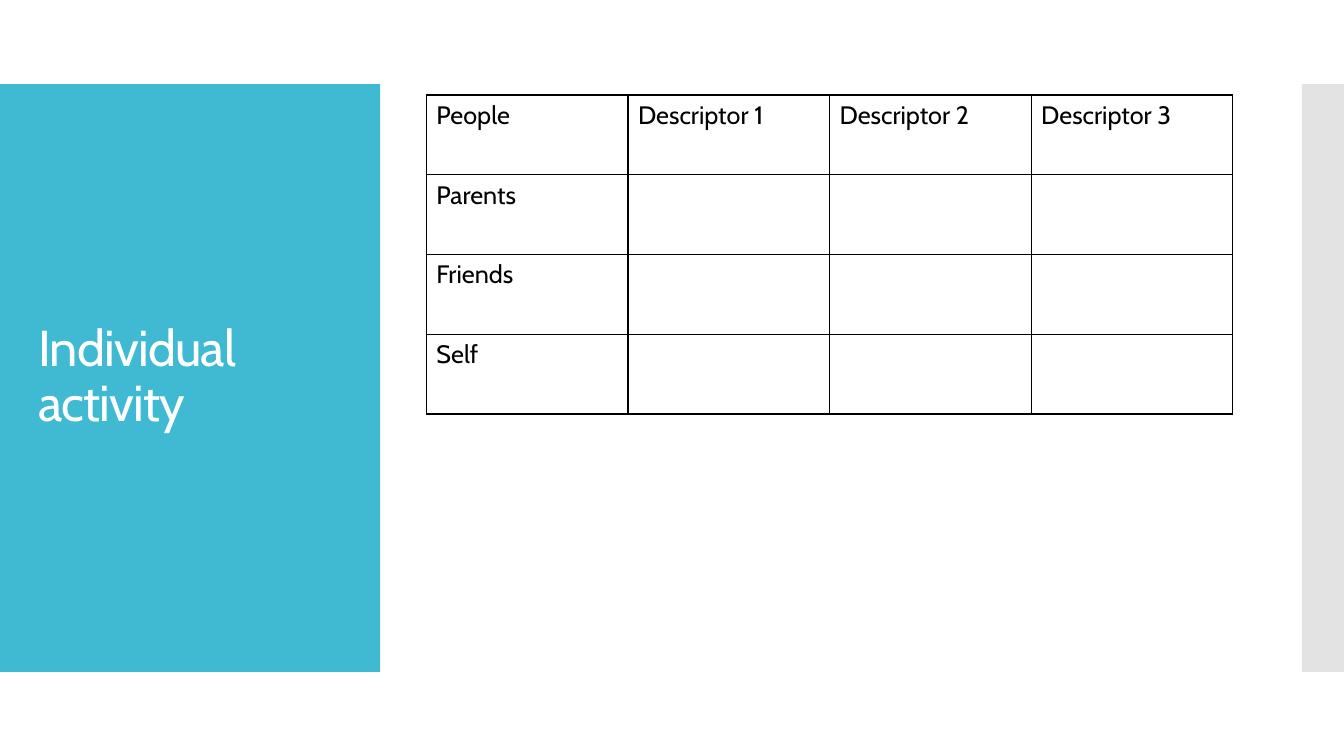
"""Build the "Individual activity" slide: a title panel beside a table of descriptors."""
import dataclasses

import lxml.etree
import pptx
import pptx.dml.color
import pptx.enum.shapes
import pptx.enum.text
import pptx.oxml.ns
import pptx.util


@dataclasses.dataclass(frozen=True)
class Theme:
    font: str = "Cabin"
    panel: str = "40BAD2"
    edge: str = "C8C8C8"
    light: str = "FFFFFF"
    dark: str = "000000"
    title_size: int = 36
    table_size: int = 18
    border_width: int = 1


@dataclasses.dataclass(frozen=True)
class Box:
    column: float
    row: float
    columns: float
    rows: float

    def place(self) -> tuple[int, int, int, int]:
        return tuple(
            round(count * GRID_STEP)
            for count in (self.column, self.row, self.columns, self.rows)
        )


@dataclasses.dataclass(frozen=True)
class Band:
    box: Box
    color: str
    opacity: int = 100


THEME = Theme()
GRID_COLUMNS, GRID_ROWS = 160, 90
GRID_STEP = pptx.util.Inches(7.5) / GRID_ROWS
BANDS = (
    Band(Box(0, 10, 45.25, 70), THEME.panel),
    Band(Box(155, 10, 5, 70), THEME.edge, opacity=50),
)
TITLE_BOX = Box(3.36, 14.76, 38.64, 60.36)
TABLE_BOX = Box(50.76, 11.3, 96, 38)
HEADINGS = ("People", "Descriptor 1", "Descriptor 2", "Descriptor 3")
PEOPLE = ("Parents", "Friends", "Self")


def add_element(parent, tag: str, **attributes: str):
    element = lxml.etree.SubElement(parent, pptx.oxml.ns.qn(tag))
    for name, value in attributes.items():
        element.set(name, value)
    return element


def write_text(text_frame, text: str, *, size: float, color: str,
               line_spacing: float = 1.0, tracking: float = 0) -> None:
    paragraph = text_frame.paragraphs[0]
    paragraph.alignment = pptx.enum.text.PP_ALIGN.LEFT
    paragraph.line_spacing = line_spacing
    run = paragraph.add_run()
    run.text = text
    run.font.name = THEME.font
    run.font.size = pptx.util.Pt(size)
    run.font.color.rgb = pptx.dml.color.RGBColor.from_string(color)
    if tracking:
        run.font._element.set("spc", str(round(tracking * 100)))


def add_band(slide, band: Band) -> None:
    shape = slide.shapes.add_shape(
        pptx.enum.shapes.MSO_SHAPE.RECTANGLE, *band.box.place())
    shape.shadow.inherit = False
    shape.line.fill.background()
    shape.fill.solid()
    shape.fill.fore_color.rgb = pptx.dml.color.RGBColor.from_string(band.color)
    if band.opacity < 100:
        color = shape._element.spPr.find(".//" + pptx.oxml.ns.qn("a:srgbClr"))
        add_element(color, "a:alpha", val=str(band.opacity * 1000))


def add_title(slide, text: str) -> None:
    title = slide.shapes.title
    title.left, title.top, title.width, title.height = TITLE_BOX.place()
    slide.shapes._spTree.append(title._element)
    title.text_frame.word_wrap = True
    title.text_frame.auto_size = pptx.enum.text.MSO_AUTO_SIZE.NONE
    title.text_frame.vertical_anchor = pptx.enum.text.MSO_ANCHOR.MIDDLE
    write_text(title.text_frame, text, size=THEME.title_size, color=THEME.light,
               line_spacing=0.9, tracking=-0.6)


def outline_cell(cell) -> None:
    properties = cell._tc.get_or_add_tcPr()
    width = str(pptx.util.Pt(THEME.border_width))
    for side in ("L", "R", "T", "B"):
        line = add_element(properties, f"a:ln{side}", w=width)
        add_element(add_element(line, "a:solidFill"), "a:srgbClr", val=THEME.dark)
    cell.fill.background()


def add_descriptor_table(slide) -> None:
    rows = [HEADINGS] + [(person,) + ("",) * (len(HEADINGS) - 1) for person in PEOPLE]
    table = slide.shapes.add_table(
        len(rows), len(HEADINGS), *TABLE_BOX.place()).table
    table.first_row = False
    table.horz_banding = False
    for row_index, row in enumerate(rows):
        for column_index, text in enumerate(row):
            cell = table.cell(row_index, column_index)
            outline_cell(cell)
            if text:
                write_text(cell.text_frame, text,
                           size=THEME.table_size, color=THEME.dark)


def main() -> None:
    presentation = pptx.Presentation()
    presentation.slide_width = round(GRID_COLUMNS * GRID_STEP)
    presentation.slide_height = round(GRID_ROWS * GRID_STEP)
    title_only = presentation.slide_layouts.get_by_name("Title Only")
    slide = presentation.slides.add_slide(title_only)
    for band in BANDS:
        add_band(slide, band)
    add_title(slide, "Individual activity")
    add_descriptor_table(slide)
    presentation.save("out.pptx")


if __name__ == "__main__":
    main()
